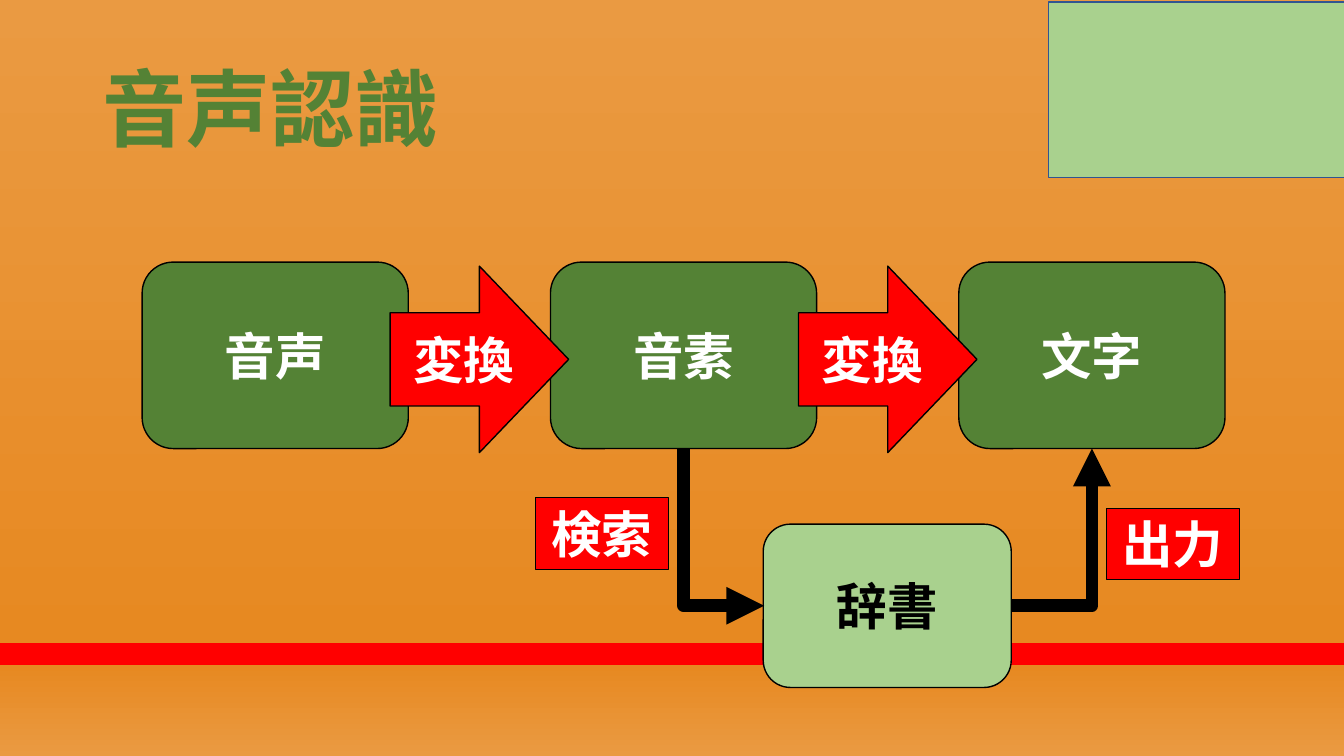
"""Build the speech recognition flow slide."""
from typing import NamedTuple

from lxml import etree
from pptx import Presentation
from pptx.dml.color import RGBColor
from pptx.enum import shapes, text
from pptx.oxml import ns
from pptx.util import Inches, Pt

FONT = "Noto Sans CJK JP"
GREEN, PALE, RED, WHITE, BLACK = "548235", "A9D18E", "FF0000", "FFFFFF", "000000"
BACKDROP = [(0, "EA9A42"), (85, "E78921"), (85, RED), (88, RED), (88, "E78921"), (100, "EA9A42")]
STEP_LEFT, STEP_PITCH, STEP_TOP, STEP_WIDTH, STEP_HEIGHT = 1.41, 4.05, 2.6, 2.64, 1.85
PRESET = shapes.MSO_SHAPE
ALIGN = text.PP_ALIGN


class Block(NamedTuple):
    """A filled preset shape with optional wording."""

    preset: shapes.MSO_SHAPE
    left: float
    top: float
    width: float
    height: float
    fill: str
    wording: str = ""
    ink: str = WHITE
    align: text.PP_ALIGN = ALIGN.CENTER
    border: str = BLACK
    border_width: float = 1
    grows: bool = False


class Elbow(NamedTuple):
    """A one-bend arrow, given by its ends before rotation."""

    begin: tuple[float, float]
    end: tuple[float, float]
    rotation: int = 0


def colour(value: str) -> RGBColor:
    """Turn a hex string into a colour."""
    return RGBColor.from_string(value)


def add_xml(parent, tag: str, **attributes: str):
    """Append a DrawingML element to parent and return it."""
    return etree.SubElement(parent, ns.qn(tag), attributes)


def write(frame, wording: str, *, size: float = 36, ink: str = WHITE,
          align=ALIGN.CENTER, anchor=text.MSO_ANCHOR.MIDDLE, spacing: float | None = None):
    """Write one bold formatted paragraph and return its run."""
    frame.word_wrap = True
    frame.vertical_anchor = anchor
    paragraph = frame.paragraphs[0]
    paragraph.alignment = align
    paragraph.line_spacing = spacing
    run = paragraph.add_run()
    run.text = wording
    run.font.size, run.font.bold, run.font.name = Pt(size), True, FONT
    run.font.color.rgb = colour(ink)
    add_xml(run.font._element, "a:ea", typeface=FONT)
    return run


def paint_background(slide) -> None:
    """Fill the background with the banded vertical gradient."""
    fill = slide.background.fill
    fill.gradient()
    fill.gradient_angle = 270
    stops = slide.background._cSld.find(".//" + ns.qn("a:gsLst"))
    for stop in list(stops):
        stops.remove(stop)
    for percent, value in BACKDROP:
        add_xml(add_xml(stops, "a:gs", pos=str(percent * 1000)), "a:srgbClr", val=value)


def add_title(slide, wording: str) -> None:
    """Place the heading with its thin outline."""
    title = slide.shapes.title
    title.left, title.top, title.width, title.height = map(Inches, (0.92, 0.4, 11.5, 1.45))
    run = write(title.text_frame, wording, size=60, ink=GREEN, align=ALIGN.LEFT, spacing=0.9)
    outline = add_xml(run.font._element, "a:ln", w=str(Pt(0.75)))
    add_xml(add_xml(outline, "a:solidFill"), "a:srgbClr", val=BLACK)
    run.font._element.insert(0, outline)


def add_block(slide, block: Block) -> None:
    """Draw one block."""
    shape = slide.shapes.add_shape(block.preset, *map(Inches, block[1:5]))
    shape.shadow.inherit = False
    shape.fill.solid()
    shape.fill.fore_color.rgb = colour(block.fill)
    shape.line.color.rgb = colour(block.border)
    shape.line.width = Pt(block.border_width)
    if block.wording:
        anchor = text.MSO_ANCHOR.TOP if block.grows else text.MSO_ANCHOR.MIDDLE
        write(shape.text_frame, block.wording, ink=block.ink, align=block.align, anchor=anchor)
    if block.grows:
        shape.text_frame.auto_size = text.MSO_AUTO_SIZE.SHAPE_TO_FIT_TEXT


def add_elbow(slide, elbow: Elbow) -> None:
    """Draw one thick arrow with a single bend."""
    arrow = slide.shapes.add_connector(
        shapes.MSO_CONNECTOR.ELBOW, *map(Inches, elbow.begin + elbow.end))
    arrow.line.color.rgb = colour(BLACK)
    arrow.line.width = Pt(9)
    properties = arrow._element.spPr
    properties.find(ns.qn("a:prstGeom")).set("prst", "bentConnector2")
    properties.find(ns.qn("a:xfrm")).set("rot", str(elbow.rotation * 60000))
    add_xml(properties.find(ns.qn("a:ln")), "a:tailEnd", type="triangle")
    add_xml(properties, "a:effectLst")


def step(index: int, wording: str) -> Block:
    """Return a stage of the recognition flow."""
    return Block(PRESET.ROUNDED_RECTANGLE, STEP_LEFT + index * STEP_PITCH, STEP_TOP,
                 STEP_WIDTH, STEP_HEIGHT, GREEN, wording)


def conversion(index: int) -> Block:
    """Return the arrow leading out of a stage."""
    return Block(PRESET.RIGHT_ARROW, 3.87 + index * STEP_PITCH, 2.64, 1.77, STEP_HEIGHT,
                 RED, "変換", align=ALIGN.RIGHT)


def label(left: float, top: float, wording: str) -> Block:
    """Return a red caption beside an elbow arrow."""
    return Block(PRESET.RECTANGLE, left, top, 1.32, 0.71, RED, wording,
                 border_width=0.75, grows=True)


def main() -> None:
    """Build and save the slide."""
    deck = Presentation()
    deck.slide_width, deck.slide_height = Inches(13.33), Inches(7.5)
    slide = deck.slides.add_slide(deck.slide_layouts[5])
    paint_background(slide)
    add_title(slide, "音声認識")

    stages = [step(index, wording) for index, wording in enumerate(("音声", "音素", "文字"))]
    dictionary = Block(PRESET.ROUNDED_RECTANGLE, 7.57, 5.2, 2.46, 1.62, PALE, "辞書", BLACK)
    for block in (*stages, dictionary, conversion(1), conversion(0)):
        add_block(slide, block)

    search = Elbow((7.96, 4.83), (6.4, 5.63), rotation=270)
    output = Elbow((10.03, 6.01), (10.83, 4.45))
    for elbow in (search, output):
        add_elbow(slide, elbow)

    corner = Block(PRESET.RECTANGLE, 10.4, 0.02, 2.94, 1.74, PALE, border="325491")
    for block in (label(5.31, 4.94, "検索"), label(10.97, 5.04, "出力"), corner):
        add_block(slide, block)
    deck.save("out.pptx")


main()
